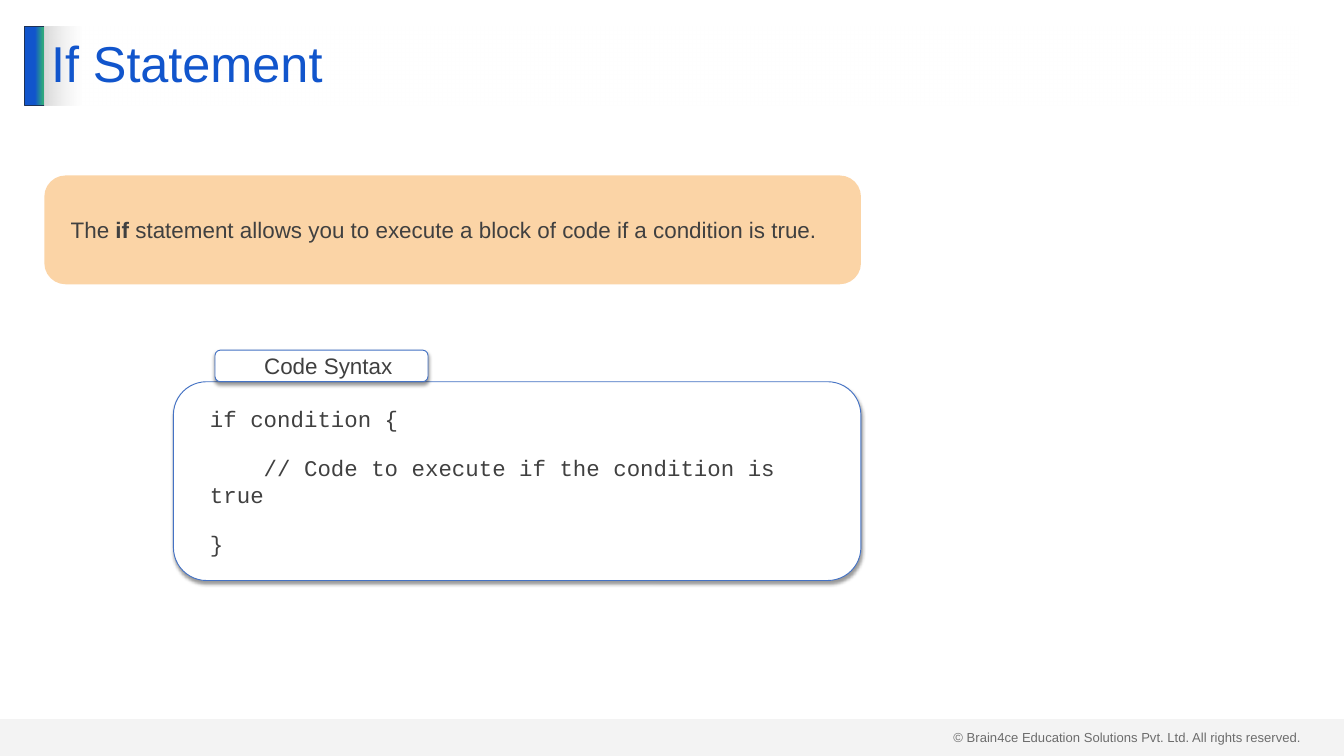
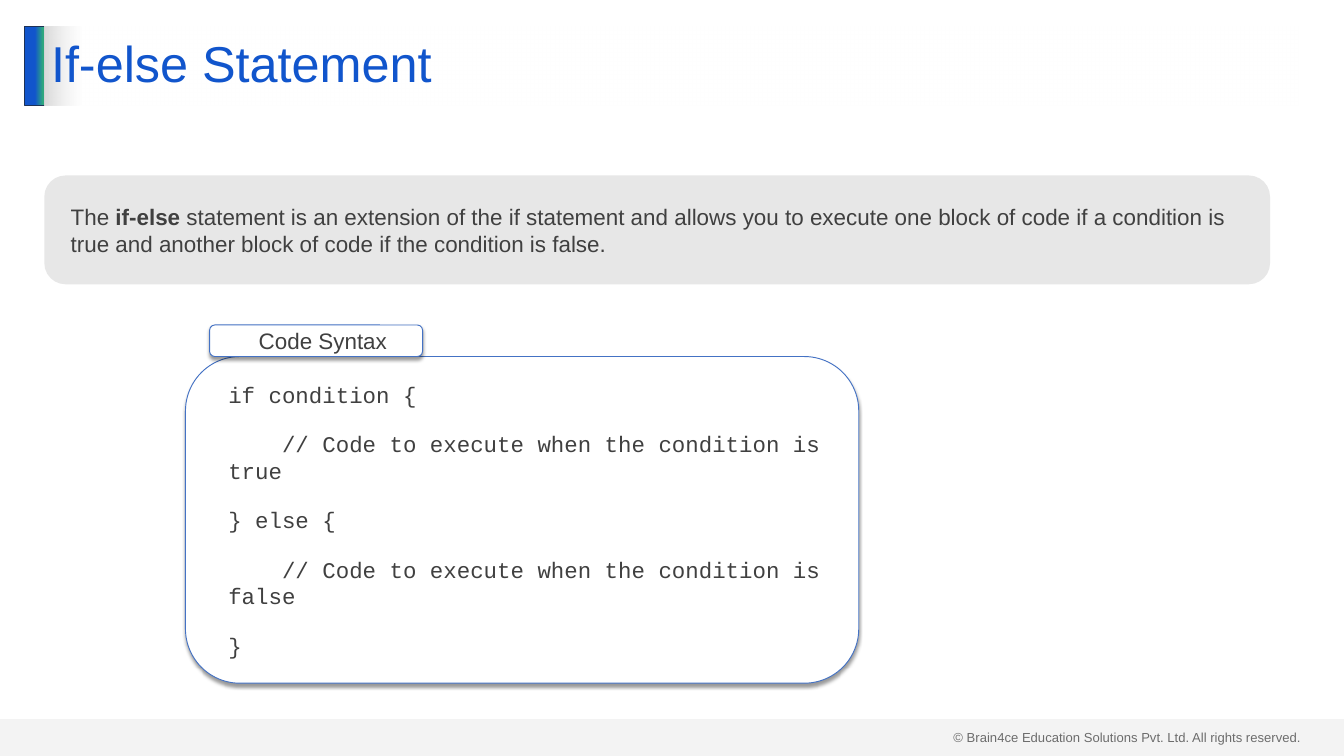
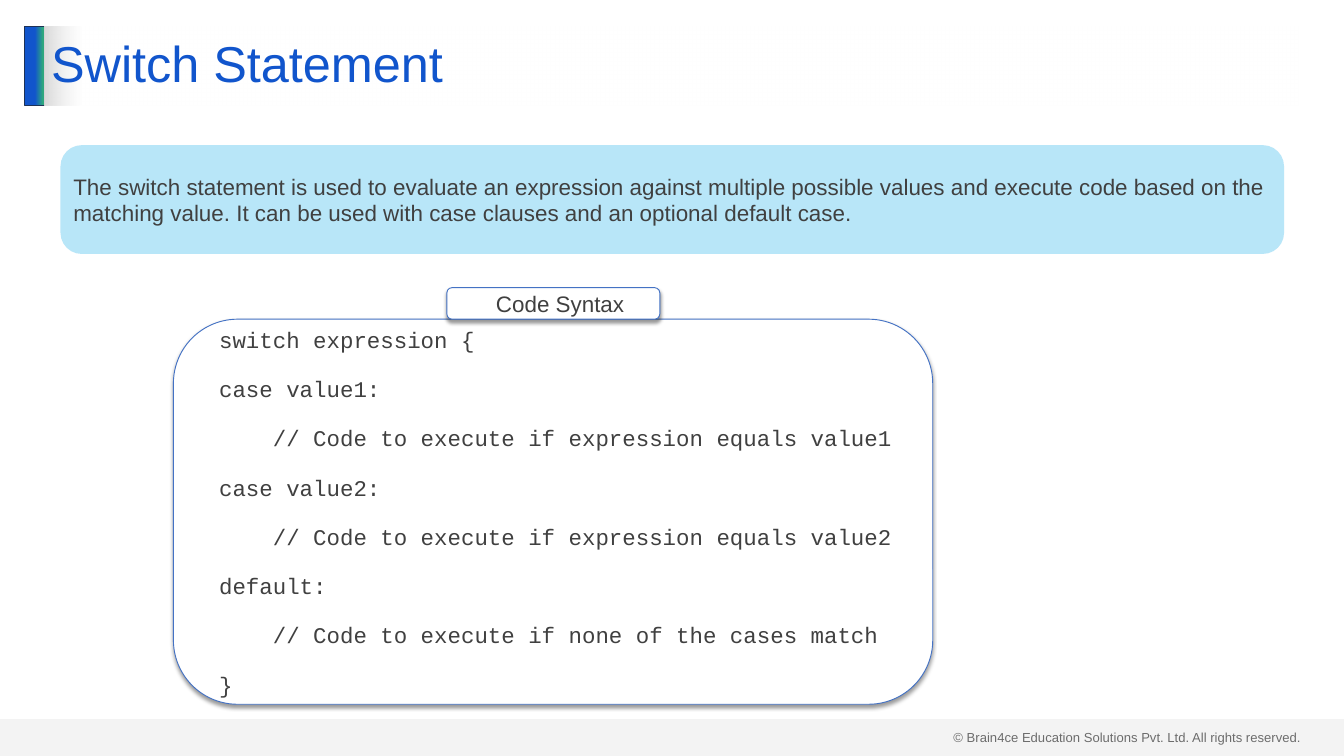
from dataclasses import dataclass

from lxml.etree import SubElement
from pptx import Presentation
from pptx.dml.color import RGBColor as RGB
from pptx.enum.shapes import MSO_SHAPE as SHAPE
from pptx.enum.text import MSO_ANCHOR as ANCHOR, MSO_AUTO_SIZE as AUTO_SIZE, PP_ALIGN as ALIGN
from pptx.oxml.ns import qn
from pptx.util import Pt


@dataclass(frozen=True)
class Theme:
    sans: str = "Arial"
    mono: str = "Courier New"
    title_size: int = 54
    body_size: int = 24
    footer_size: int = 14
    ink: str = "404040"
    blue: str = "1155CC"
    green: str = "2EA87D"
    navy: str = "1E3256"
    outline: str = "4472C4"
    grey: str = "D9D9D9"
    white: str = "FFFFFF"
    orange: str = "FABE79"
    silver: str = "DBDBDB"
    sky: str = "94DAF5"


theme = Theme()


def write(shape, *paragraphs, font=theme.sans, size=theme.body_size, color=theme.ink,
          align=ALIGN.LEFT, anchor=ANCHOR.MIDDLE, insets=(7.2, 3.6, 7.2, 3.6),
          gap=0, line_spacing=None):
    """Fill a shape with paragraphs; text between asterisks is bold."""
    frame = shape.text_frame
    frame.word_wrap = True
    frame.auto_size = AUTO_SIZE.NONE
    frame.vertical_anchor = anchor
    (frame.margin_left, frame.margin_top,
     frame.margin_right, frame.margin_bottom) = map(Pt, insets)
    for number, text in enumerate(paragraphs):
        paragraph = frame.add_paragraph() if number else frame.paragraphs[0]
        paragraph.alignment = align
        paragraph.space_before = Pt(gap if number else 0)
        if line_spacing:
            paragraph.line_spacing = line_spacing
        for position, piece in enumerate(text.split("*")):
            run = paragraph.add_run()
            run.text = piece
            run.font.name, run.font.size = font, Pt(size)
            run.font.bold = position % 2 == 1
            run.font.color.rgb = RGB.from_string(color)


def paint(shape, fill, alpha=100, line=None, shadow=False):
    """Apply a colour, or a list of (percent, colour, alpha) gradient stops."""
    properties = shape.element.spPr
    if isinstance(fill, str):
        shape.fill.solid()
        shape.fill.fore_color.rgb = RGB.from_string(fill)
        if alpha < 100:
            tint = properties.find(qn("a:solidFill"))[0]
            SubElement(tint, qn("a:alpha"), val=str(alpha * 1000))
    else:
        shape.fill.gradient()
        shape.fill.gradient_angle = 0
        stops = properties.find(".//" + qn("a:gsLst"))
        for default_stop in list(stops):
            stops.remove(default_stop)
        for percent, color, opacity in fill:
            stop = SubElement(stops, qn("a:gs"), pos=str(percent * 1000))
            tint = SubElement(stop, qn("a:srgbClr"), val=color)
            SubElement(tint, qn("a:alpha"), val=str(opacity * 1000))
    if line:
        shape.line.color.rgb = RGB.from_string(line)
        shape.line.width = Pt(1)
    else:
        shape.line.fill.background()
    shape.shadow.inherit = False
    if shadow:
        outer = SubElement(properties.find(qn("a:effectLst")), qn("a:outerShdw"),
                           blurRad=str(Pt(4)), dist=str(Pt(3)), dir="5400000",
                           algn="t", rotWithShape="0")
        tint = SubElement(outer, qn("a:srgbClr"), val="000000")
        SubElement(tint, qn("a:alpha"), val="40000")


# Content: boxes are left, top, width, height
lessons = [
    dict(
        title="If Statement",
        summary="The *if* statement allows you to execute a block of code if a condition is true.",
        summary_box=(47.5, 188, 875, 116.6), summary_fill=theme.orange, summary_inset=21.6,
        code_box=(185.8, 409, 736.6, 213), label_left=230.4,
        code=["if condition {",
              "    // Code to execute if the condition is true",
              "}"],
    ),
    dict(
        title="If-else Statement",
        summary="The *if-else* statement is an extension of the if statement and allows you to "
                "execute one block of code if a condition is true and another block of code "
                "if the condition is false.",
        summary_box=(47.5, 188, 1313.3, 116.6), summary_fill=theme.silver, summary_inset=21.6,
        code_box=(198.7, 382, 721.4, 350), label_left=224.6,
        code=["if condition {",
              "    // Code to execute when the condition is true",
              "} else {",
              "    // Code to execute when the condition is false",
              "}"],
    ),
    dict(
        title="Switch Statement",
        summary="The switch statement is used to evaluate an expression against multiple "
                "possible values and execute code based on the matching value. It can be used "
                "with case clauses and an optional default case.",
        summary_box=(64.8, 155.5, 1311, 116.6), summary_fill=theme.sky, summary_inset=7.2,
        code_box=(185.8, 342, 813.6, 412.6), label_left=478.8,
        code=["switch expression {",
              "case value1:",
              "    // Code to execute if expression equals value1",
              "case value2:",
              "    // Code to execute if expression equals value2",
              "default:",
              "    // Code to execute if none of the cases match",
              "}"],
    ),
]
label_width, label_height = 228.2, 33.8
panel_insets = (28.8, 7.2, 14.4, 7.2)

deck = Presentation()
deck.slide_width, deck.slide_height = Pt(1440), Pt(810)
layout = deck.slide_layouts[5]
for placeholder in list(layout.placeholders):
    if placeholder.placeholder_format.idx != 0:
        layout.shapes.element.remove(placeholder.element)
slides = [deck.slides.add_slide(layout) for lesson in lessons]

# Shared footer and accent bar, drawn once and moved to the layout
drawing = slides[0].shapes
copyright_line = drawing.add_textbox(Pt(1014.5), Pt(777.6), Pt(389.5), Pt(24.5))
write(copyright_line, "© Brain4ce Education Solutions Pvt. Ltd. All rights reserved.",
      size=theme.footer_size, anchor=ANCHOR.TOP)
accent_bar = drawing.add_shape(SHAPE.RECTANGLE, Pt(26.6), Pt(28), Pt(21.6), Pt(85))
paint(accent_bar, [(51, theme.blue, 100), (90, theme.green, 100), (100, theme.green, 100)],
      line=theme.navy)
footer_band = drawing.add_shape(SHAPE.RECTANGLE, Pt(0), Pt(770.4), Pt(1440), Pt(39.6))
paint(footer_band, theme.grey, alpha=29)
for shared in (copyright_line, accent_bar, footer_band):
    layout.shapes.element.append(shared.element)

for slide, lesson in zip(slides, lessons):
    # Title
    title = slide.shapes.title
    title.left, title.top, title.width, title.height = Pt(47.5), Pt(28), Pt(1344.2), Pt(85)
    paint(title, [(0, theme.grey, 100), (3, theme.white, 50)])
    write(title, lesson["title"], size=theme.title_size, color=theme.blue, line_spacing=0.9)

    # Summary
    summary = slide.shapes.add_shape(SHAPE.ROUNDED_RECTANGLE, *map(Pt, lesson["summary_box"]))
    summary.adjustments[0] = 0.195
    paint(summary, lesson["summary_fill"], alpha=66)
    write(summary, lesson["summary"], insets=(lesson["summary_inset"], 3.6, 7.2, 3.6))

    # Code panel with its label sitting on the top edge
    label_box = (lesson["label_left"], lesson["code_box"][1] - label_height,
                 label_width, label_height)
    for box, lines, style in (
        (lesson["code_box"], lesson["code"], dict(font=theme.mono, gap=24)),
        (label_box, ["Code Syntax"], dict(align=ALIGN.CENTER)),
    ):
        panel = slide.shapes.add_shape(SHAPE.ROUNDED_RECTANGLE, *map(Pt, box))
        paint(panel, theme.white, line=theme.outline, shadow=True)
        write(panel, *lines, insets=panel_insets, **style)

deck.save("out.pptx")
